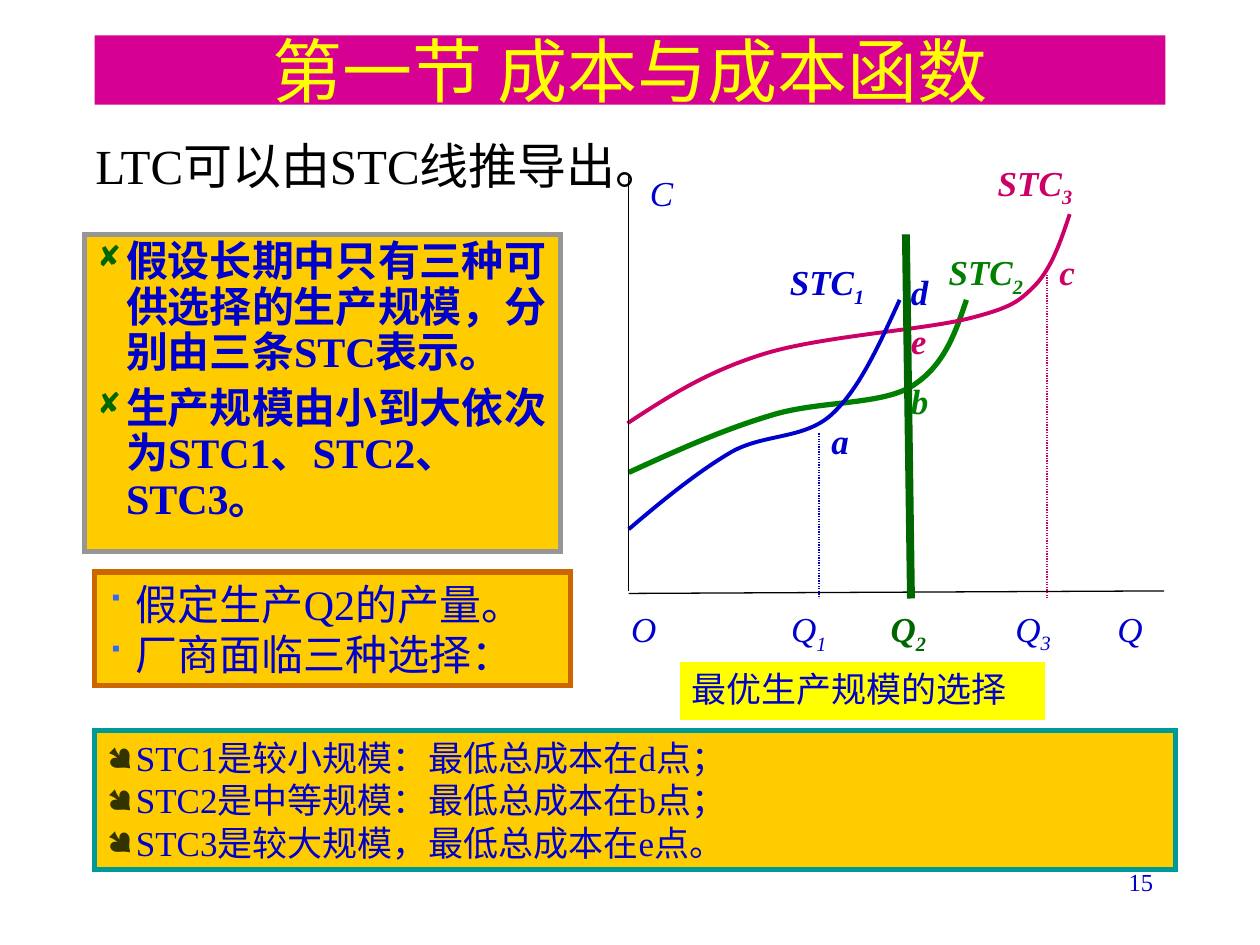
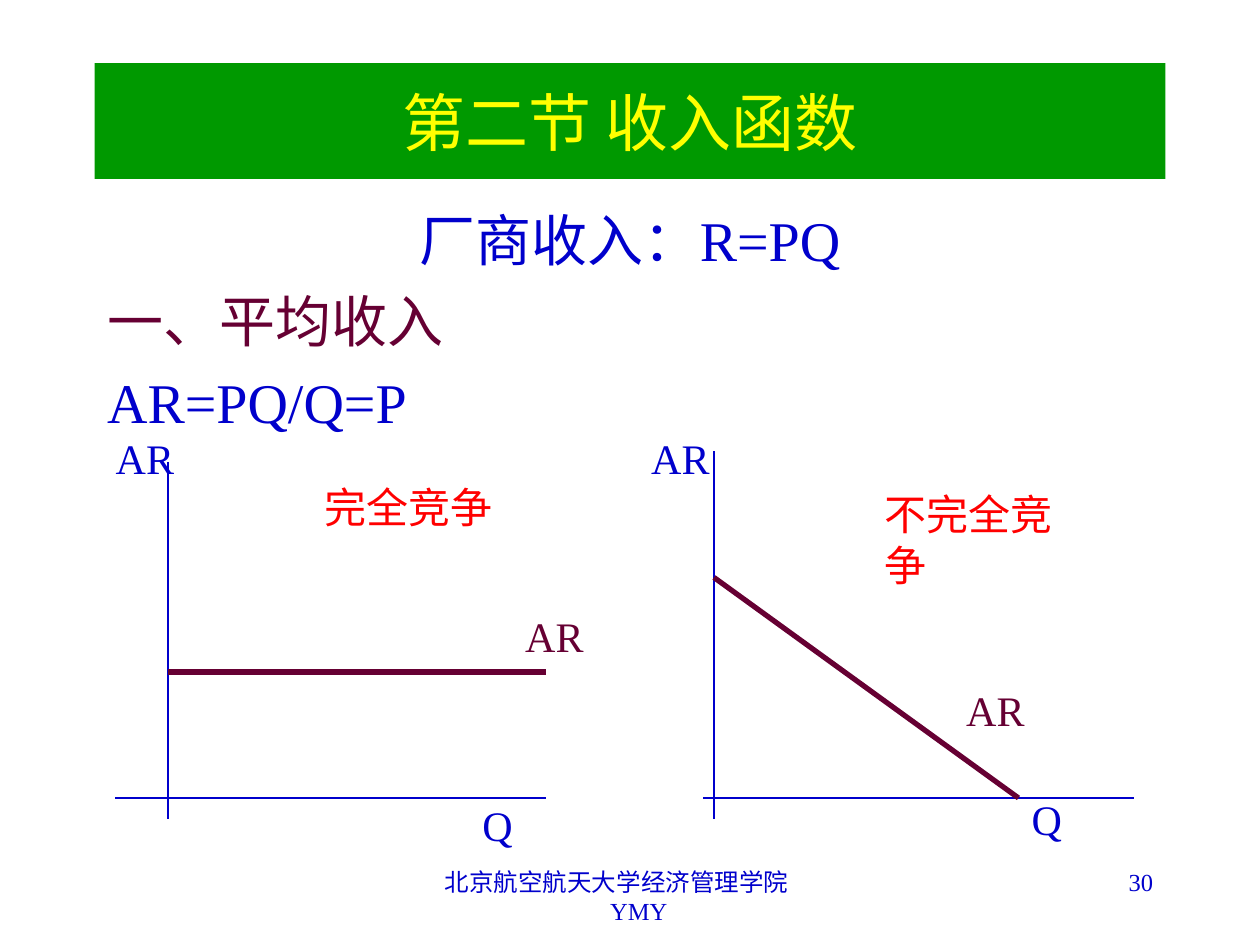
import pptx
import pptx.util
import pptx.dml.color
import pptx.enum.dml
import pptx.enum.shapes
import pptx.enum.text
import pptx.oxml
import pptx.oxml.ns
import lxml.etree

Inches = pptx.util.Inches
Pt = pptx.util.Pt
RGBColor = pptx.dml.color.RGBColor
qn = pptx.oxml.ns.qn
ALIGN = pptx.enum.text.PP_ALIGN
ANCHOR = pptx.enum.text.MSO_ANCHOR
AUTO_SIZE = pptx.enum.text.MSO_AUTO_SIZE
DOTTED = pptx.enum.dml.MSO_LINE.ROUND_DOT

BLUE = RGBColor(0x00, 0x00, 0xCC)
YELLOW = RGBColor(0xFF, 0xFF, 0x00)
GOLD = RGBColor(0xFF, 0xCC, 0x00)
GREEN = RGBColor(0x00, 0x80, 0x00)
DARK_GREEN = RGBColor(0x00, 0x66, 0x00)
BAND_GREEN = RGBColor(0x00, 0x99, 0x00)
MAGENTA = RGBColor(0xD6, 0x00, 0x93)
CRIMSON = RGBColor(0xCC, 0x00, 0x66)
MAROON = RGBColor(0x66, 0x00, 0x33)
RED = RGBColor(0xFF, 0x00, 0x00)
TEAL = RGBColor(0x00, 0x99, 0x99)
BROWN = RGBColor(0xCC, 0x66, 0x00)
GREY = RGBColor(0x96, 0x96, 0x96)
BLACK = RGBColor(0x00, 0x00, 0x00)
WHITE = RGBColor(0xFF, 0xFF, 0xFF)

BOLD_ITALIC = {"bold": True, "italic": True}
ITALIC = {"italic": True}


def write(paragraph, text, color, size, subscript="", **font_values):
    """Add text, and an optional subscript, in the deck's font."""
    for part in filter(None, (text, subscript)):
        run = paragraph.add_run()
        run.text = part
        values = {"name": "Times New Roman", "size": Pt(size), **font_values}
        for name, value in values.items():
            setattr(run.font, name, value)
        run.font.color.rgb = color
        if part == subscript:
            run._r.get_or_add_rPr().set("baseline", "-25000")


def add_line(slide, start, end, color, width, dash=None):
    line = slide.shapes.add_connector(
        pptx.enum.shapes.MSO_CONNECTOR.STRAIGHT,
        *[Inches(value) for value in (*start, *end)])
    line.line.color.rgb = color
    line.line.width = Pt(width)
    if dash:
        line.line.dash_style = dash
    lxml.etree.SubElement(line._element.spPr, qn("a:effectLst"))


presentation = pptx.Presentation()
presentation.slide_width = Inches(10)
presentation.slide_height = Inches(7.5)

# Shared title band and page number
slides = []
for title, top, height, fill, size, page in [
    ("第一节 成本与成本函数", 0.28, 0.55, MAGENTA, 40, "15"),
    ("第二节 收入函数", 0.5, 0.92, BAND_GREEN, 36, "30"),
]:
    slide = presentation.slides.add_slide(presentation.slide_layouts[1])
    slides.append(slide)
    band = slide.shapes.title
    band.left, band.top = Inches(0.75), Inches(top)
    band.width, band.height = Inches(8.5), Inches(height)
    band.fill.solid()
    band.fill.fore_color.rgb = fill
    band.text_frame.auto_size = AUTO_SIZE.NONE
    band.text_frame.vertical_anchor = ANCHOR.MIDDLE
    band.text_frame.paragraphs[0].alignment = ALIGN.CENTER
    write(band.text_frame.paragraphs[0], title, YELLOW, size)

    number = slide.shapes.add_textbox(
        Inches(7.17), Inches(6.83), Inches(2.08), Inches(0.5))
    number.text_frame.word_wrap = True
    number.text_frame.paragraphs[0].alignment = ALIGN.RIGHT
    write(number.text_frame.paragraphs[0], page, BLUE, 14)

cost_slide, revenue_slide = slides

# Slide 1: lead sentence
lead = cost_slide.shapes.add_textbox(
    Inches(0.38), Inches(0.8), Inches(5.27), Inches(0.79))
lead.text_frame.word_wrap = True
lead.text_frame.vertical_anchor = ANCHOR.BOTTOM
lead.text_frame.paragraphs[0].alignment = ALIGN.CENTER
write(lead.text_frame.paragraphs[0], "LTC可以由STC线推导出。", BLACK, 28)

# Slide 1: total cost curves; after the start, every three points make a Bézier segment
for color, width, start, points in [
    (GREEN, 3, (4.99, 3.75), [
        (5.36, 3.58), (5.74, 3.41), (6.11, 3.3),
        (6.48, 3.18), (6.97, 3.22), (7.23, 3.07),
        (7.49, 2.91), (7.58, 2.65), (7.67, 2.38)]),
    (CRIMSON, 2.25, (4.98, 3.36), [
        (5.3, 3.15), (5.61, 2.95), (6.06, 2.81),
        (6.51, 2.67), (7.32, 2.62), (7.68, 2.53),
        (8.04, 2.44), (8.09, 2.39), (8.22, 2.26),
        (8.35, 2.12), (8.42, 1.91), (8.49, 1.7)]),
    (BLUE, 2.25, (4.99, 4.2), [
        (5.26, 3.97), (5.53, 3.75), (5.8, 3.59),
        (6.06, 3.44), (6.38, 3.49), (6.6, 3.29),
        (6.82, 3.09), (6.98, 2.73), (7.14, 2.38)]),
]:
    builder = cost_slide.shapes.build_freeform(Inches(start[0]), Inches(start[1]))
    builder.add_line_segments([(Inches(x), Inches(y)) for x, y in points], close=False)
    curve = builder.convert_to_shape()
    outline = next(curve._element.iter(qn("a:path")))
    straight_parts = outline.findall(qn("a:lnTo"))
    for first in range(0, len(straight_parts), 3):
        segment = lxml.etree.SubElement(outline, qn("a:cubicBezTo"))
        for part in straight_parts[first:first + 3]:
            segment.append(part[0])
            outline.remove(part)
    curve.shadow.inherit = False
    curve.fill.background()
    curve.line.color.rgb = color
    curve.line.width = Pt(width)

# Slide 1: axes and output levels
for start, end, color, width, dash in [
    ((4.99, 1.39), (4.99, 4.69), BLACK, 0.75, None),
    ((4.99, 4.71), (9.24, 4.69), BLACK, 0.75, None),
    ((6.5, 3.44), (6.5, 4.75), BLUE, 0.75, DOTTED),
    ((8.31, 2.18), (8.31, 4.74), CRIMSON, 0.75, DOTTED),
    ((7.19, 1.86), (7.23, 4.75), DARK_GREEN, 4.5, None),
]:
    add_line(cost_slide, start, end, color, width, dash)

# Slide 1: labels of curves, points and axes
for text, subscript, left, top, width, height, color, style, outlined in [
    ("O", "", 4.91, 4.77, 0.45, 0.37, BLUE, ITALIC, True),
    ("C", "", 5.06, 1.31, 0.37, 0.41, BLUE, ITALIC, True),
    ("Q", "", 8.77, 4.77, 0.39, 0.41, BLUE, ITALIC, True),
    ("Q", "1", 6.18, 4.77, 0.57, 0.45, BLUE, ITALIC, False),
    ("Q", "2", 6.97, 4.77, 0.56, 0.45, DARK_GREEN, BOLD_ITALIC, False),
    ("Q", "3", 7.96, 4.77, 0.51, 0.53, BLUE, ITALIC, False),
    ("STC", "1", 6.17, 2.02, 0.86, 0.47, BLUE, BOLD_ITALIC, False),
    ("STC", "2", 7.43, 1.94, 0.81, 0.54, GREEN, BOLD_ITALIC, False),
    ("STC", "3", 7.82, 1.23, 1.01, 0.45, CRIMSON, BOLD_ITALIC, False),
    ("a", "", 6.5, 3.28, 0.31, 0.39, BLUE, BOLD_ITALIC, False),
    ("b", "", 7.13, 2.96, 0.31, 0.39, GREEN, BOLD_ITALIC, False),
    ("c", "", 8.31, 1.94, 0.36, 0.39, CRIMSON, BOLD_ITALIC, False),
    ("d", "", 7.13, 2.1, 0.31, 0.39, BLUE, BOLD_ITALIC, False),
    ("e", "", 7.13, 2.49, 0.31, 0.44, CRIMSON, BOLD_ITALIC, False),
]:
    label = cost_slide.shapes.add_textbox(
        Inches(left), Inches(top), Inches(width), Inches(height))
    label.text_frame.word_wrap = True
    if outlined:
        label.line.color.rgb = WHITE
        label.line.width = Pt(0.75)
    write(label.text_frame.paragraphs[0], text, color, 20, subscript, **style)

caption = cost_slide.shapes.add_textbox(
    Inches(5.39), Inches(5.25), Inches(2.91), Inches(0.47))
caption.text_frame.word_wrap = True
caption.fill.solid()
caption.fill.fore_color.rgb = YELLOW
caption.line.color.rgb = WHITE
caption.line.width = Pt(0.75)
write(caption.text_frame.paragraphs[0], "最优生产规模的选择", BLUE, 20)

# Slide 1: bulleted boxes
assumptions = cost_slide.placeholders[1]
demand, choices = [
    cost_slide.shapes.add_shape(
        pptx.enum.shapes.MSO_SHAPE.RECTANGLE, 0, 0, Inches(1), Inches(1))
    for _ in range(2)]
for box, place, border, bullet, bullet_color, percent, size, bold, spacing, gap, items in [
    (assumptions, (0.67, 1.86, 3.78, 2.52), GREY, "◻", "006600", 90, 24, True, 0.9, 6,
     ["假设长期中只有三种可供选择的生产规模，分别由三条STC表示。",
      "生产规模由小到大依次为STC1、STC2、STC3。"]),
    (demand, (0.75, 4.54, 3.78, 0.9), BROWN, "■", "3366FF", 95, 24, False, 1.0, 0,
     ["假定生产Q2的产量。", "厂商面临三种选择："]),
    (choices, (0.75, 5.8, 8.58, 1.1), TEAL, "●", "333300", 95, 20, False, 1.0, 0,
     ["STC1是较小规模：最低总成本在d点；",
      "STC2是中等规模：最低总成本在b点；",
      "STC3是较大规模，最低总成本在e点。"]),
]:
    for side, value in zip(("left", "top", "width", "height"), place):
        setattr(box, side, Inches(value))
    if box is not assumptions:
        box.shadow.inherit = False
    box.fill.solid()
    box.fill.fore_color.rgb = GOLD
    box.line.color.rgb = border
    box.line.width = Pt(3)
    border_line = box._element.spPr.find(qn("a:ln"))
    lxml.etree.SubElement(border_line, qn("a:miter")).set("lim", "800000")
    frame = box.text_frame
    frame.word_wrap = True
    frame.auto_size = AUTO_SIZE.NONE
    frame.vertical_anchor = ANCHOR.TOP
    for index, item in enumerate(items):
        paragraph = frame.add_paragraph() if index else frame.paragraphs[0]
        properties = paragraph._p.get_or_add_pPr()
        properties.set("marL", str(Inches(0.23)))
        properties.set("indent", str(-Inches(0.23)))
        for xml in (f'<a:buClr {{}}><a:srgbClr val="{bullet_color}"/></a:buClr>',
                    f'<a:buSzPct {{}} val="{percent * 1000}"/>',
                    '<a:buFont {} typeface="Wingdings" charset="2"/>',
                    f'<a:buChar {{}} char="{bullet}"/>'):
            properties.append(
                pptx.oxml.parse_xml(xml.format(pptx.oxml.ns.nsdecls("a"))))
        paragraph.alignment = ALIGN.LEFT
        paragraph.line_spacing = spacing
        paragraph.space_before = Pt(gap if index else 0)
        write(paragraph, item, BLUE, size, bold=bold)

# Slide 2: formulas
body = revenue_slide.placeholders[1]
body.left, body.top = Inches(0.75), Inches(1.58)
body.width, body.height = Inches(8.5), Inches(5.08)
body.text_frame.auto_size = AUTO_SIZE.NONE
for index, (text, color, alignment) in enumerate([
    ("厂商收入：R=PQ", BLUE, ALIGN.CENTER),
    ("一、平均收入", MAROON, ALIGN.LEFT),
    ("AR=PQ/Q=P", BLUE, ALIGN.LEFT),
]):
    paragraph = body.text_frame.add_paragraph() if index else body.text_frame.paragraphs[0]
    properties = paragraph._p.get_or_add_pPr()
    properties.set("marL", str(Inches(0.38)))
    properties.set("indent", str(-Inches(0.38)))
    lxml.etree.SubElement(properties, qn("a:buNone"))
    paragraph.alignment = alignment
    paragraph.space_before = Pt(8 if index else 0)
    write(paragraph, text, color, 32)

# Slide 2: axes and average revenue lines, on a grid of twelfths of an inch
for start, end, color, width in [
    ((16, 44), (16, 78), BLUE, 0.75),
    ((11, 76), (52, 76), BLUE, 0.75),
    ((68, 43), (68, 78), BLUE, 0.75),
    ((67, 76), (108, 76), BLUE, 0.75),
    ((16, 64), (52, 64), MAROON, 3),
    ((68, 55), (97, 76), MAROON, 3),
]:
    start, end = [(x / 12, y / 12) for x, y in (start, end)]
    add_line(revenue_slide, start, end, color, width)

for text, left, top, width, color in [
    ("AR", 4.07, 4.8, 0.66, MAROON),
    ("AR", 7.57, 5.38, 0.66, MAROON),
    ("AR", 0.82, 3.38, 0.66, BLUE),
    ("AR", 5.07, 3.38, 0.66, BLUE),
    ("Q", 8.09, 6.25, 0.44, BLUE),
    ("Q", 3.73, 6.3, 0.44, BLUE),
    ("完全竞争", 2.48, 3.77, 1.53, RED),
    ("不完全竞争", 6.92, 3.83, 1.86, RED),
]:
    label = revenue_slide.shapes.add_textbox(
        Inches(left), Inches(top), Inches(width), Inches(0.5))
    label.text_frame.word_wrap = False
    label.text_frame.auto_size = AUTO_SIZE.SHAPE_TO_FIT_TEXT
    write(label.text_frame.paragraphs[0], text, color, 24)

# Slide 2: footer, its second line set in from the first
footer = revenue_slide.shapes.add_textbox(
    Inches(3.31), Inches(6.83), Inches(3.17), Inches(0.5))
footer.text_frame.word_wrap = True
paragraph = footer.text_frame.paragraphs[0]
properties = paragraph._p.get_or_add_pPr()
properties.set("marL", str(Inches(0.35)))
properties.set("indent", str(-Inches(0.35)))
paragraph.alignment = ALIGN.CENTER
write(paragraph, "北京航空航天大学经济管理学院 YMY", BLUE, 14)

presentation.save("out.pptx")
